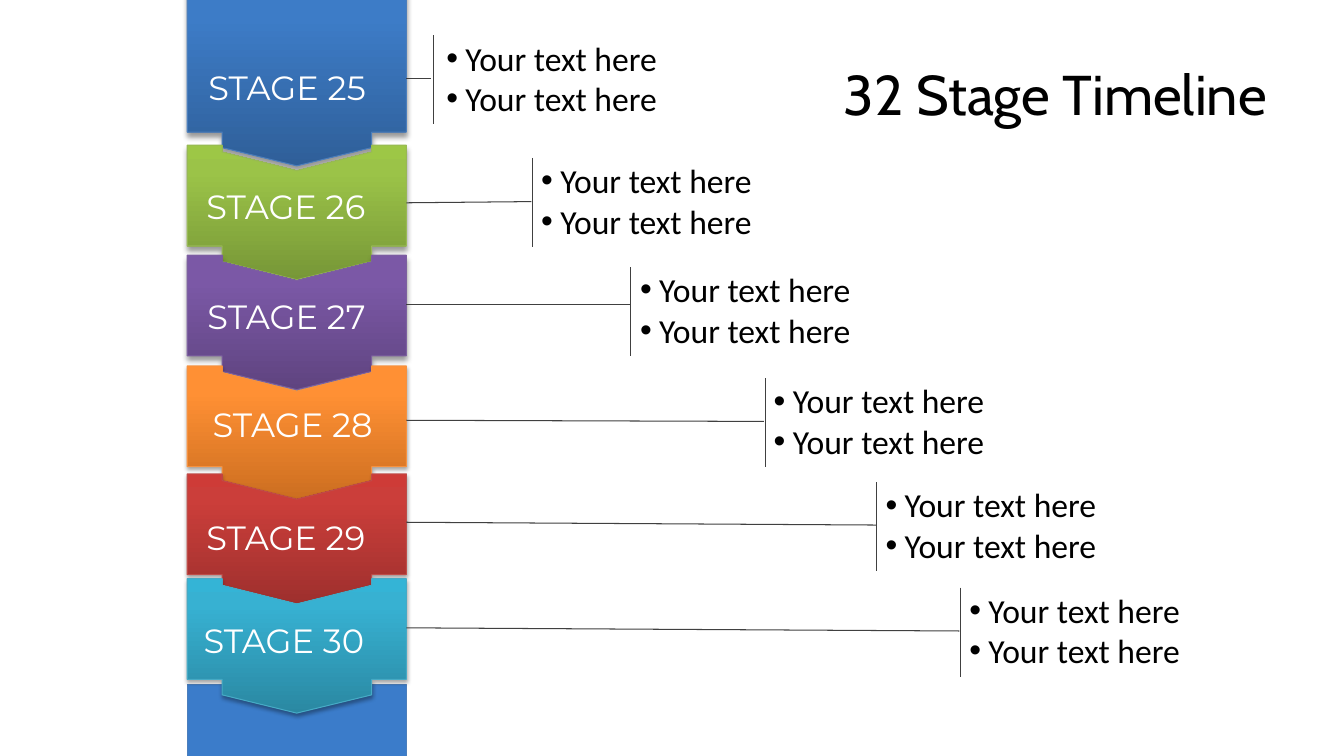
from dataclasses import dataclass

import pptx
import pptx.dml.color
import pptx.enum.shapes
import pptx.enum.text
import pptx.oxml
import pptx.oxml.ns
import pptx.util
from pptx.util import Cm


@dataclass(frozen=True)
class Theme:
    title_font: str = "Cabin"
    body_font: str = "Calibri"
    label_font: str = "Montserrat"
    title_size: int = 40
    text_size: int = 24
    line_width: float = 0.75
    text: str = "000000"
    label: str = "FFFFFF"
    rule: str = "404040"
    column: str = "3B7CCA"
    column_line: str = "4B7EBC"


@dataclass(frozen=True)
class Shadow:
    alpha: int
    blur: float
    distance: float


@dataclass(frozen=True)
class Stage:
    """One band with its label, leader line and bullets; lengths in cm."""
    name: str
    top: float
    base: float
    gradient: tuple[str, str, str]
    outline: str
    shadow: Shadow
    label: tuple[float, float]
    leader: tuple[float, float, float]  # start y, end x, end y
    divider: tuple[float, float]
    text_left: float
    notched: bool = True


THEME = Theme()
BULLETS = ("Your text here", "Your text here")
DEEP, SOFT = Shadow(40, 4, 3), Shadow(35, 3.1, 1.8)

# Column geometry in cm
LEFT, RIGHT = 4.72, 10.24
NOTCH_LEFT, CENTRE, NOTCH_RIGHT = 5.6, 7.48, 9.37
SHOULDER, TIP = 0.39, 0.85
NOTCH_SHOULDER, NOTCH_TIP = 0.17, 0.64
DIVIDER_HEIGHT = 2.24

STAGES = (
    Stage("STAGE 25", -0.48, 3.33, ("2F5F99", "3D7CC7", "3A7CCB"), "4B7EBC", DEEP,
          (5.0, 1.57), (1.98, 10.85, 1.98), (10.92, 0.89), 11.0, notched=False),
    Stage("STAGE 26", 3.66, 6.2, ("779737", "9BC348", "9DC746"), "98B955", DEEP,
          (4.95, 4.57), (5.11, 13.39, 5.08), (13.41, 3.98), 13.39),
    Stage("STAGE 27", 6.43, 8.97, ("5F4480", "7B58A6", "7C57A8"), "7D60A0", DEEP,
          (4.98, 7.32), (7.67, 15.88, 7.67), (15.9, 6.73), 15.88),
    Stage("STAGE 28", 9.22, 11.76, ("CC6E20", "FF9034", "FF9136"), "F69240", SOFT,
          (5.11, 10.06), (10.59, 19.25, 10.62), (19.28, 9.53), 19.25),
    Stage("STAGE 29", 11.94, 14.48, ("9C2F2D", "CB3E3A", "CE3B37"), "BF4C48", SOFT,
          (4.95, 12.9), (13.16, 22.07, 13.23), (22.1, 12.15), 22.07),
    Stage("STAGE 30", 14.58, 17.12, ("2A88A2", "37B1D2", "34B4D6"), "46AAC5", SOFT,
          (4.88, 15.49), (15.82, 24.18, 15.9), (24.21, 14.81), 24.18),
)


def rgb(value: str) -> pptx.dml.color.RGBColor:
    return pptx.dml.color.RGBColor.from_string(value)


def element(xml: str):
    namespace = pptx.oxml.ns.nsdecls("a")
    return pptx.oxml.parse_xml(xml.replace(">", f" {namespace}>", 1))


def set_line(shape, color: str) -> None:
    shape.line.color.rgb = rgb(color)
    shape.line.width = pptx.util.Pt(THEME.line_width)


def add_run(paragraph, text: str, font: str, size: int, color: str) -> None:
    run = paragraph.add_run()
    run.text = text
    run.font.name = font
    run.font.size = pptx.util.Pt(size)
    run.font.color.rgb = rgb(color)


def add_line(shapes, start: tuple[float, float], end: tuple[float, float]) -> None:
    connector = shapes.add_connector(
        pptx.enum.shapes.MSO_CONNECTOR.STRAIGHT,
        Cm(start[0]), Cm(start[1]), Cm(end[0]), Cm(end[1]))
    set_line(connector, THEME.rule)
    connector._element.spPr.append(element("<a:effectLst></a:effectLst>"))


def add_text_frame(shapes, left: float, top: float, width: float, height: float):
    text_box = shapes.add_textbox(Cm(left), Cm(top), Cm(width), Cm(height))
    frame = text_box.text_frame
    frame.word_wrap = False
    frame.auto_size = pptx.enum.text.MSO_AUTO_SIZE.SHAPE_TO_FIT_TEXT
    return frame


def add_band(shapes, stage: Stage) -> None:
    notch = [(NOTCH_LEFT, stage.top), (NOTCH_LEFT, stage.top + NOTCH_SHOULDER),
             (CENTRE, stage.top + NOTCH_TIP),
             (NOTCH_RIGHT, stage.top + NOTCH_SHOULDER), (NOTCH_RIGHT, stage.top)]
    points = (notch if stage.notched else []) + [
        (RIGHT, stage.top), (RIGHT, stage.base),
        (NOTCH_RIGHT, stage.base), (NOTCH_RIGHT, stage.base + SHOULDER),
        (CENTRE, stage.base + TIP),
        (NOTCH_LEFT, stage.base + SHOULDER), (NOTCH_LEFT, stage.base),
        (LEFT, stage.base)]
    builder = shapes.build_freeform(Cm(LEFT), Cm(stage.top))
    builder.add_line_segments([(Cm(x), Cm(y)) for x, y in points], close=True)
    band = builder.convert_to_shape()
    set_line(band, stage.outline)

    # Gradient from the bottom up
    stops = "".join(
        f'<a:gs pos="{position}"><a:srgbClr val="{color}"/></a:gs>'
        for position, color in zip((0, 80000, 100000), stage.gradient))
    band.fill.background()
    properties = band._element.spPr
    properties.replace(
        properties.find(pptx.oxml.ns.qn("a:noFill")),
        element(f'<a:gradFill><a:gsLst>{stops}</a:gsLst>'
                '<a:lin ang="16200000" scaled="0"/></a:gradFill>'))

    # Soft shadow below
    band.shadow.inherit = False
    blur = pptx.util.Pt(stage.shadow.blur)
    distance = pptx.util.Pt(stage.shadow.distance)
    properties.find(pptx.oxml.ns.qn("a:effectLst")).append(element(
        f'<a:outerShdw blurRad="{blur}" dist="{distance}" dir="5400000" rotWithShape="0">'
        f'<a:srgbClr val="000000"><a:alpha val="{stage.shadow.alpha * 1000}"/>'
        '</a:srgbClr></a:outerShdw>'))


def add_bullets(shapes, left: float, top: float) -> None:
    frame = add_text_frame(shapes, left, top, 5.87, 2.31)
    for index, text in enumerate(BULLETS):
        paragraph = frame.add_paragraph() if index else frame.paragraphs[0]
        properties = paragraph._p.get_or_add_pPr()
        properties.set("marL", str(Cm(0.48)))
        properties.set("indent", str(-Cm(0.48)))
        properties.append(element('<a:buFont typeface="Arial"></a:buFont>'))
        properties.append(element('<a:buChar char="•"></a:buChar>'))
        add_run(paragraph, text, THEME.body_font, THEME.text_size, THEME.text)


def add_stage(slide, stage: Stage) -> None:
    shapes = slide.shapes.add_group_shape().shapes
    leader_start, leader_x, leader_y = stage.leader
    divider_x, divider_top = stage.divider
    add_band(shapes, stage)
    add_bullets(shapes, stage.text_left, divider_top - 0.07)
    add_line(shapes, (RIGHT, leader_start), (leader_x, leader_y))
    add_line(shapes, stage.divider, (divider_x, divider_top + DIVIDER_HEIGHT))
    frame = add_text_frame(shapes, *stage.label, 5.11, 1.27)
    add_run(frame.paragraphs[0], stage.name, THEME.label_font, THEME.text_size, THEME.label)


def add_title(slide) -> None:
    title = slide.shapes.title
    title.left, title.top, title.width, title.height = Cm(1.7), Cm(0.76), Cm(30.48), Cm(3.18)
    title.text_frame.vertical_anchor = pptx.enum.text.MSO_ANCHOR.MIDDLE
    paragraph = title.text_frame.paragraphs[0]
    paragraph.alignment = pptx.enum.text.PP_ALIGN.RIGHT
    add_run(paragraph, "32 Stage Timeline", THEME.title_font, THEME.title_size, THEME.text)


def add_column_foot(slide) -> None:
    foot = slide.shapes.add_shape(
        pptx.enum.shapes.MSO_SHAPE.RECTANGLE, Cm(LEFT), Cm(17.25), Cm(RIGHT - LEFT), Cm(3.38))
    foot.shadow.inherit = False
    foot.fill.solid()
    foot.fill.fore_color.rgb = rgb(THEME.column)
    set_line(foot, THEME.column_line)


def main() -> None:
    presentation = pptx.Presentation()
    presentation.slide_width, presentation.slide_height = Cm(33.87), Cm(19.05)
    slide = presentation.slides.add_slide(presentation.slide_layouts[5])
    add_title(slide)
    add_column_foot(slide)
    for stage in STAGES:
        add_stage(slide, stage)
    presentation.save("out.pptx")


if __name__ == "__main__":
    main()
